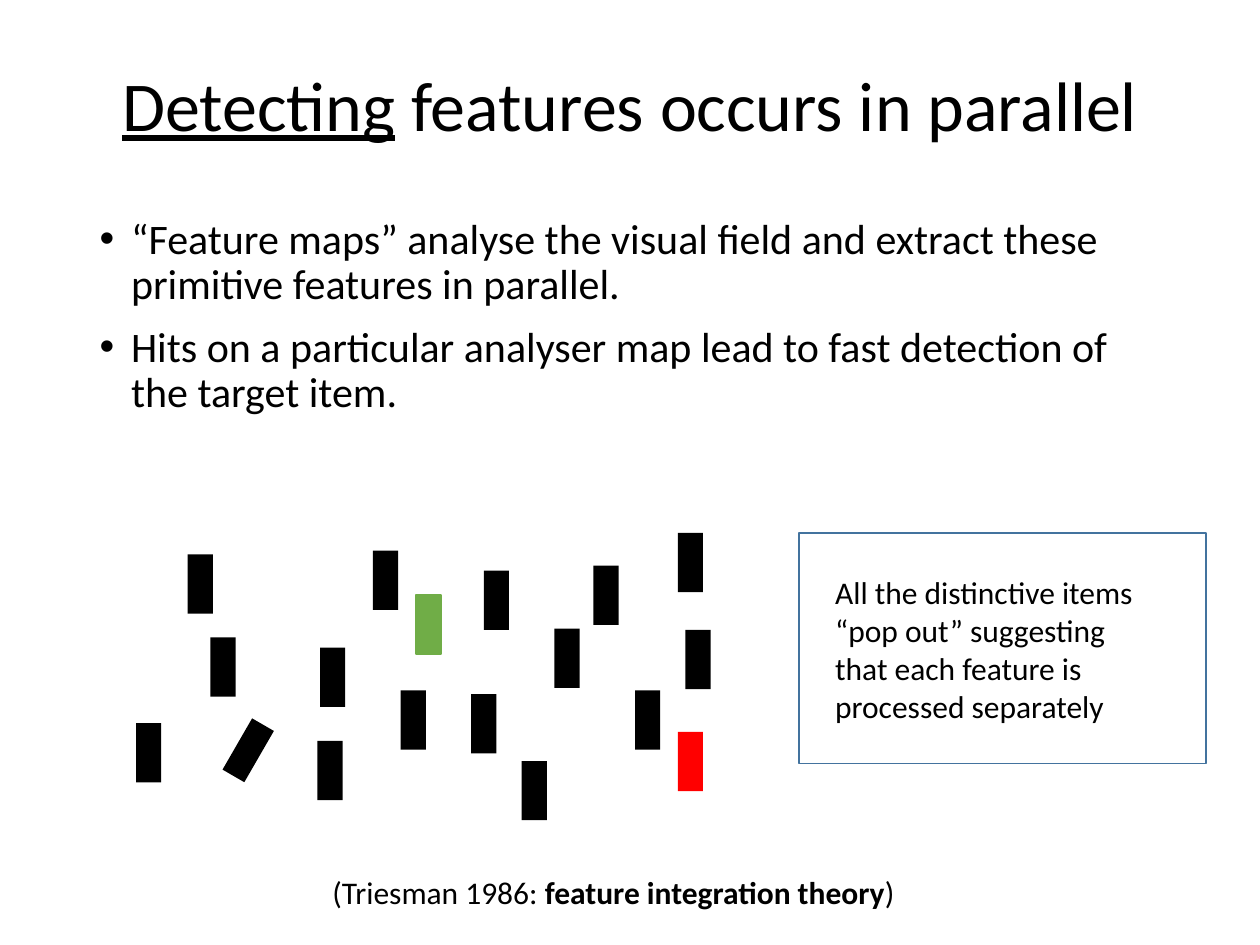
from dataclasses import dataclass

from lxml import etree
from pptx import Presentation
from pptx.dml.color import RGBColor
from pptx.enum.shapes import MSO_SHAPE
from pptx.enum.text import MSO_ANCHOR, MSO_AUTO_SIZE, PP_ALIGN
from pptx.oxml.ns import qn
from pptx.util import Inches, Pt

RECT = MSO_SHAPE.RECTANGLE
MIDDLE, TOP = MSO_ANCHOR.MIDDLE, MSO_ANCHOR.TOP
CENTER, LEFT = PP_ALIGN.CENTER, PP_ALIGN.LEFT
NO_FIT = MSO_AUTO_SIZE.NONE
GROW = MSO_AUTO_SIZE.SHAPE_TO_FIT_TEXT


@dataclass
class Theme:
    font: str = "Calibri"
    ink: str = "000000"
    green: str = "70AD47"
    red: str = "FF0000"
    frame: str = "43739E"
    title: int = 40
    body: int = 24
    note: int = 18


BAR = (0.2, 0.47)
BLACK_BARS = [
    (5.04, 5.48), (3.74, 5.51), (4.71, 4.49), (3.18, 5.48), (5.38, 4.23),
    (2.96, 4.37), (1.49, 4.4), (2.54, 5.14), (5.44, 5), (4.4, 4.99),
    (2.52, 5.88), (1.08, 5.74), (1.67, 5.06), (3.84, 4.53), (4.14, 6.04),
]
POINTS = [
    "“Feature maps” analyse the visual field and extract these primitive features in parallel.",
    "Hits on a particular analyser map lead to fast detection of the target item.",
]


class Deck:
    def __init__(self, theme):
        self.theme = theme
        self.show = Presentation()
        self.show.slide_width, self.show.slide_height = Inches(10), Inches(7.5)
        self.slide = self.show.slides.add_slide(self.show.slide_layouts[1])

    def place(self, shape, box):
        shape.left, shape.top, shape.width, shape.height = map(Inches, box)

    def add_runs(self, para, parts, size):
        """Add one run per (text, style) part; style names a font switch."""
        for text, style in parts:
            run = para.add_run()
            run.text = text
            font = run.font
            font.name, font.size = self.theme.font, Pt(size)
            font.color.rgb = RGBColor.from_string(self.theme.ink)
            if style == "bold":
                font.bold = True
            elif style == "underline":
                font.underline = True

    def title(self, parts, box):
        shape = self.slide.shapes.title
        self.place(shape, box)
        frame = shape.text_frame
        frame.auto_size, frame.vertical_anchor = NO_FIT, MIDDLE
        para = frame.paragraphs[0]
        para.alignment, para.line_spacing = CENTER, 0.9
        self.add_runs(para, parts, self.theme.title)

    def bullets(self, lines, box):
        shape = self.slide.placeholders[1]
        self.place(shape, box)
        frame = shape.text_frame
        frame.auto_size, frame.vertical_anchor = NO_FIT, TOP
        for i, line in enumerate(lines):
            para = frame.add_paragraph() if i else frame.paragraphs[0]
            props = para._p.get_or_add_pPr()
            props.set("marL", str(Inches(0.25)))
            props.set("indent", str(-Inches(0.25)))
            etree.SubElement(props, qn("a:buFont")).set("typeface", "Arial")
            etree.SubElement(props, qn("a:buChar")).set("char", "•")
            para.alignment, para.line_spacing = LEFT, 0.9
            para.space_before = Pt(10 if i else 0)
            self.add_runs(para, [(line, None)], self.theme.body)

    def note(self, parts, box, wrap=True):
        shape = self.slide.shapes.add_textbox(*map(Inches, box))
        frame = shape.text_frame
        frame.word_wrap, frame.auto_size = wrap, GROW
        self.add_runs(frame.paragraphs[0], parts, self.theme.note)

    def rect(self, box, fill=None, line=None, turn=0):
        shape = self.slide.shapes.add_shape(RECT, *map(Inches, box))
        shape.shadow.inherit = False
        shape.rotation = turn
        if fill:
            shape.fill.solid()
            shape.fill.fore_color.rgb = RGBColor.from_string(fill)
        else:
            shape.fill.background()
        if line:
            shape.line.color.rgb = RGBColor.from_string(line)
            shape.line.width = Pt(1)
        else:
            shape.line.fill.background()


def main():
    theme = Theme()
    deck = Deck(theme)
    deck.title([("Detecting", "underline"), (" features occurs in parallel", None)],
               (0.69, 0.4, 8.62, 0.92))
    deck.bullets(POINTS, (0.69, 1.68, 8.62, 1.97))

    for spot in BLACK_BARS:
        deck.rect(spot + BAR, theme.ink)
    deck.rect((3.3, 4.72) + BAR, theme.green, line=theme.green)
    deck.rect((1.87, 5.72) + BAR, theme.ink, turn=30)
    deck.rect((5.38, 5.81) + BAR, theme.red)

    deck.note([("All the distinctive items “pop out” suggesting that each "
                "feature is processed separately", None)], (6.53, 4.5, 2.81, 1.31))
    deck.rect((6.34, 4.23, 3.23, 1.83), line=theme.frame)
    deck.note([("(Triesman 1986: ", None), ("feature integration theory", "bold"),
               (")", None)], (2.54, 6.88, 5.11, 0.4), wrap=False)
    deck.show.save("out.pptx")


if __name__ == "__main__":
    main()
